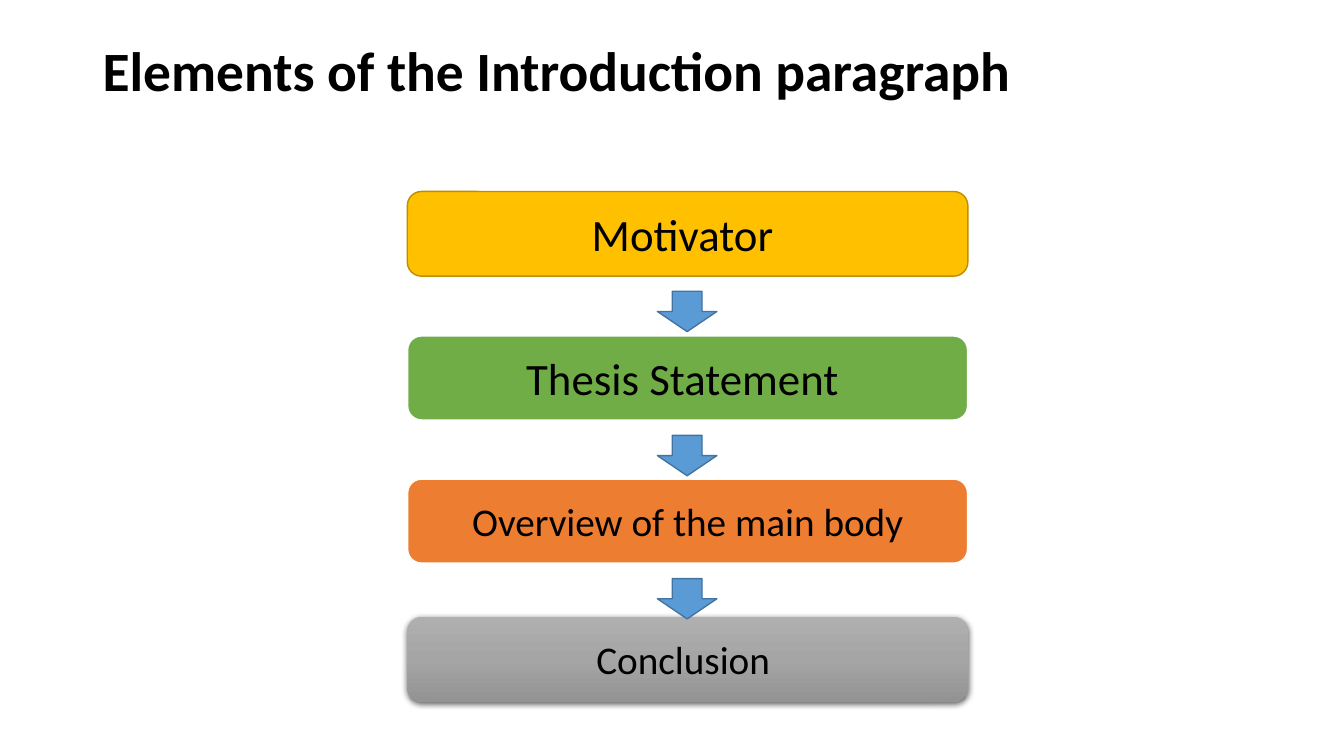
from dataclasses import dataclass

from lxml.etree import SubElement
from pptx import Presentation
from pptx.dml.color import RGBColor
from pptx.enum.shapes import MSO_SHAPE
from pptx.enum.text import MSO_ANCHOR, PP_ALIGN
from pptx.oxml.ns import qn
from pptx.util import Pt


@dataclass(frozen=True)
class Theme:
    """Fonts, type sizes and colours of the slide."""
    font: str = "Calibri"
    title_size: float = 39.6
    large_size: int = 32
    small_size: int = 28
    text: str = "000000"
    white: str = "FFFFFF"
    yellow: str = "FFC000"
    yellow_edge: str = "BD8E00"
    green: str = "70AD47"
    orange: str = "ED7D31"
    grays: tuple = ("AFAFAF", "A5A5A5", "939393")
    arrow: str = "5B9BD5"
    arrow_edge: str = "43739E"
    shadow: str = "000000"


class SlideBuilder:
    """Draws styled elements on one slide, with lengths in px."""
    EMU_PER_PX = 9144

    def __init__(self, presentation, theme):
        """Add a blank slide to the presentation."""
        self.theme = theme
        self.slide = presentation.slides.add_slide(presentation.slide_layouts[6])

    def scale(self, *lengths):
        """Turn px into EMU."""
        return [length * self.EMU_PER_PX for length in lengths]

    def label(self, shape, text, size):
        """Set one middle-anchored paragraph and return it."""
        frame = shape.text_frame
        frame.word_wrap = True
        frame.vertical_anchor = MSO_ANCHOR.MIDDLE
        paragraph = frame.paragraphs[0]
        paragraph.text = text
        font = paragraph.font
        font.name = self.theme.font
        font.size = Pt(size)
        font.color.rgb = RGBColor.from_string(self.theme.text)
        return paragraph

    def title(self, text, *box):
        """Add the bold slide title."""
        shape = self.slide.shapes.add_textbox(*self.scale(*box))
        paragraph = self.label(shape, text, self.theme.title_size)
        paragraph.line_spacing = 0.9
        paragraph.font.bold = True

    def shape(self, kind, box, fill, edge, edge_width):
        """Add a preset shape with a plain or gradient fill."""
        shape = self.slide.shapes.add_shape(kind, *self.scale(*box))
        shape.shadow.inherit = False
        if isinstance(fill, tuple):
            self.gradient(shape, fill)
        else:
            shape.fill.solid()
            shape.fill.fore_color.rgb = RGBColor.from_string(fill)
        if edge:
            shape.line.color.rgb = RGBColor.from_string(edge)
            shape.line.width = Pt(edge_width)
        else:
            shape.line.fill.background()
        return shape

    def gradient(self, shape, colours):
        """Fill a shape from top to bottom with evenly spaced colours."""
        shape.fill.gradient()
        shape.fill.gradient_angle = 270
        stops = shape._element.spPr.find(".//" + qn("a:gsLst"))
        stops.clear()
        for index, colour in enumerate(colours):
            position = 100000 * index // (len(colours) - 1)
            stop = SubElement(stops, qn("a:gs"), pos=str(position))
            SubElement(stop, qn("a:srgbClr"), val=colour)

    def drop_shadow(self, shape):
        """Give a shape a soft shadow below it."""
        effects = shape._element.spPr.find(qn("a:effectLst"))
        shadow = SubElement(effects, qn("a:outerShdw"), blurRad=str(Pt(4.5)),
                            dist=str(Pt(1.5)), dir="5400000", algn="ctr", rotWithShape="0")
        colour = SubElement(shadow, qn("a:srgbClr"), val=self.theme.shadow)
        SubElement(colour, qn("a:alpha"), val="63000")

    def step(self, text, size, box, fill, edge, edge_width):
        """Add a rounded box with a centred label."""
        shape = self.shape(MSO_SHAPE.ROUNDED_RECTANGLE, box, fill, edge, edge_width)
        self.label(shape, text, size).alignment = PP_ALIGN.CENTER
        return shape

    def arrow(self, *box):
        """Add a down arrow between two steps."""
        self.shape(MSO_SHAPE.DOWN_ARROW, box, self.theme.arrow, self.theme.arrow_edge, 1)


def main():
    """Build and save the slide."""
    theme = Theme()
    presentation = Presentation()
    presentation.slide_width = 1333 * SlideBuilder.EMU_PER_PX
    presentation.slide_height = 750 * SlideBuilder.EMU_PER_PX
    builder = SlideBuilder(presentation, theme)
    builder.title("Elements of the Introduction paragraph", 92, 40, 1150, 66)

    left, width, height = 404, 556, 84
    arrow_width, arrow_height, arrow_gap = 59, 40, 15
    arrow_left = left + (width - arrow_width) // 2
    steps = [
        ("Motivator ", theme.large_size, 190, theme.yellow, theme.yellow_edge, 1),
        ("Thesis Statement ", theme.large_size, 333, theme.green, theme.white, 1.5),
        ("Overview of the main body", theme.small_size, 475, theme.orange, theme.white, 1.5),
        ("Conclusion ", theme.small_size, 612, theme.grays, None, 0),
    ]
    for text, size, top, fill, edge, edge_width in steps:
        box = (left, top, width, height)
        last_step = builder.step(text, size, box, fill, edge, edge_width)
    builder.drop_shadow(last_step)
    for _, _, top, *_ in steps[:-1]:
        builder.arrow(arrow_left, top + height + arrow_gap, arrow_width, arrow_height)
    presentation.save("out.pptx")


if __name__ == "__main__":
    main()
